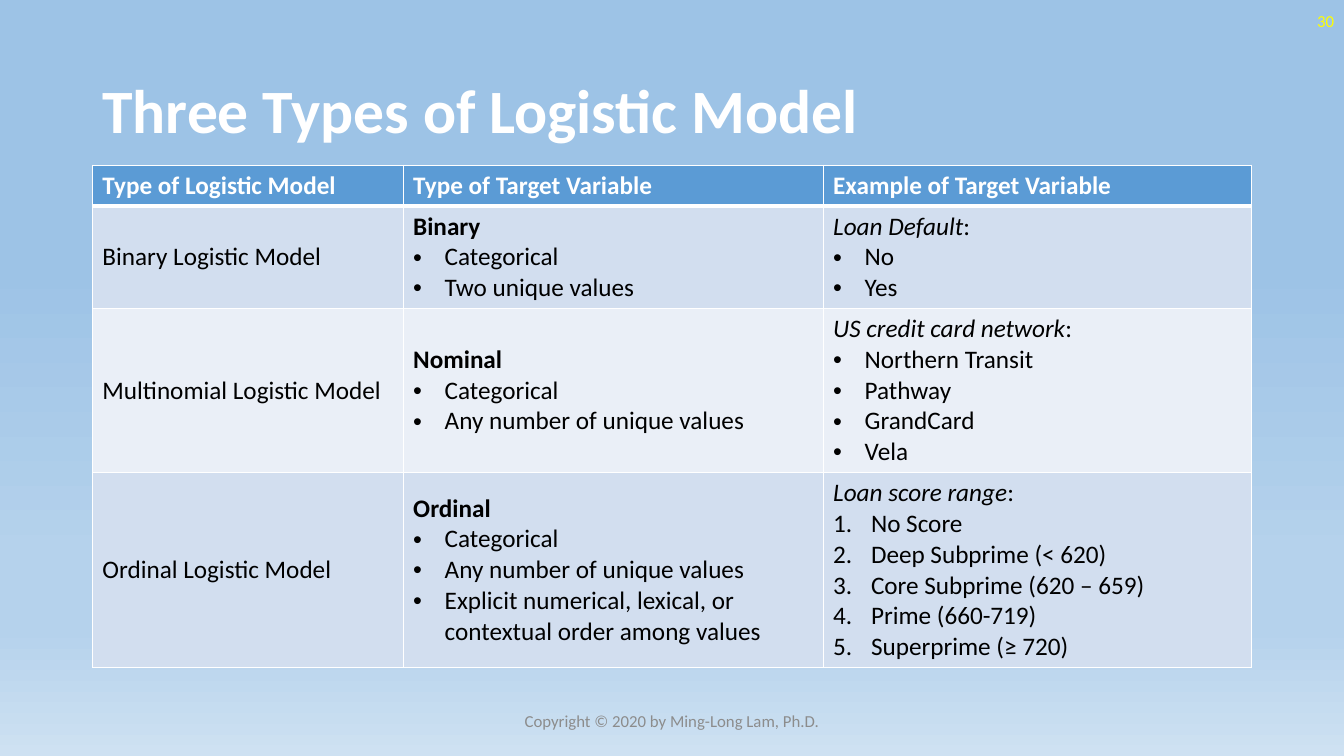
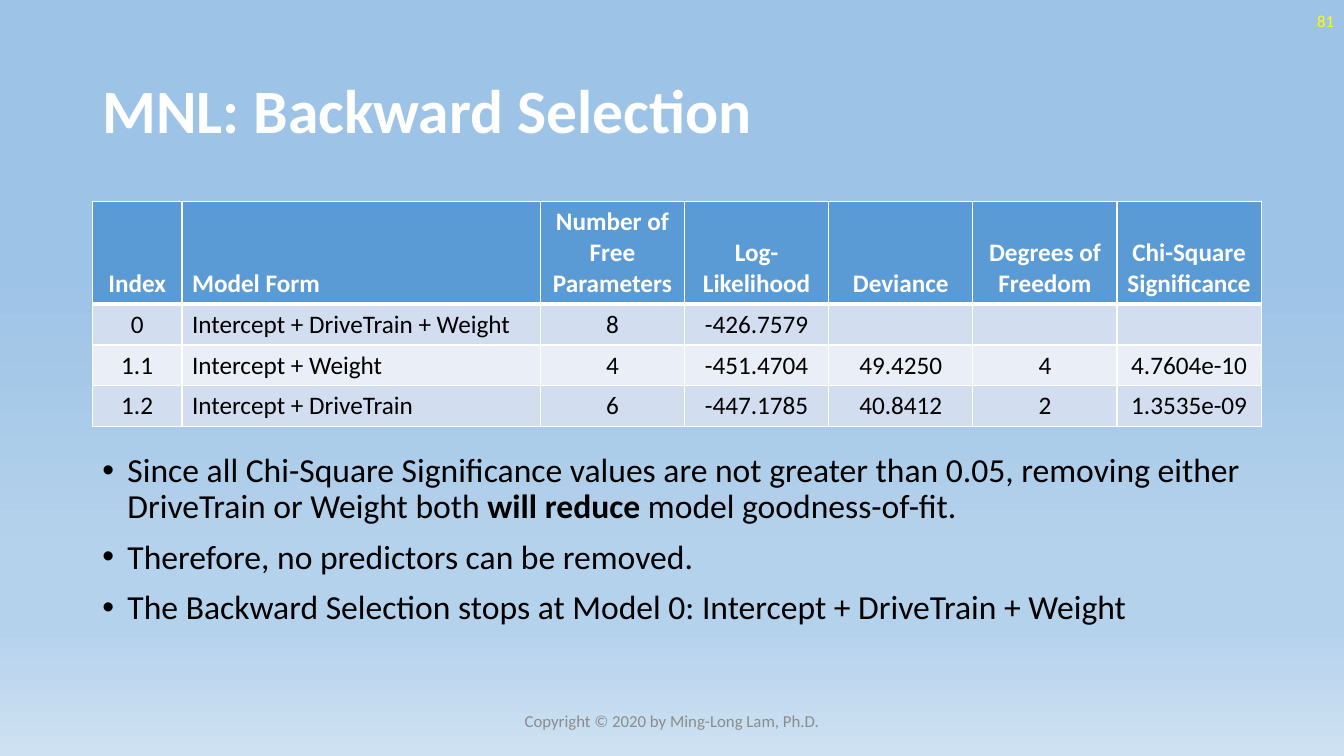
from lxml.etree import SubElement
from pptx import Presentation
from pptx.dml.color import RGBColor
from pptx.enum.text import MSO_ANCHOR as Anchor, PP_ALIGN as Align
from pptx.oxml.ns import qn
from pptx.util import Pt

COLOURS = {
    "white": "FFFFFF", "black": "000000", "grey": "8C8C8C", "yellow": "FFFF00",
    "header": "5B9BD5", "band": "D2DEEF", "pale": "EAEFF7",
    "sky": "9DC3E6", "mist": "B5D2EC", "haze": "CEE1F2",
}
BACKGROUND = [(35, "sky"), (74, "mist"), (83, "mist"), (100, "haze")]
FONT = "Calibri"
LEFT = 66
WIDTH = 828
LINE_HEIGHT = 22
CELL_PADDING = 7.2
COPYRIGHT = "Copyright © 2020 by Ming-Long Lam, Ph.D."

STYLES = {
    "title": {"size": Pt(44), "bold": True, "color": "white"},
    "number": {"size": Pt(12), "color": "yellow"},
    "footer": {"size": Pt(12), "color": "grey"},
    "body": {"size": Pt(24), "color": "black"},
    "header": {"size": Pt(18), "bold": True, "color": "white"},
    "cell": {"size": Pt(18), "bold": False, "color": "black"},
}
MARKERS = {
    "bullet": ("a:buChar", {"char": "•"}, 22.5),
    "number": ("a:buAutoNum", {"type": "arabicPeriod"}, 27),
    "body": ("a:buChar", {"char": "•"}, 18),
}


def listing(lead, items, marker="bullet"):
    return [(None, lead)] + [(marker, [(item, {})]) for item in items]


def kind(name, *items):
    return listing([(name, {"bold": True})], items)


def example(name, items, marker="bullet"):
    return listing([(name, {"italic": True}), (":", {})], items, marker)


SLIDES = [
    {
        "title": "Three Types of Logistic Model",
        "number": "30",
        "top": 118,
        "widths": [222, 300, 306],
        "lines": [1, 3, 5, 6],
        "centred": [],
        "rows": [
            ["Type of Logistic Model", "Type of Target Variable", "Example of Target Variable"],
            ["Binary Logistic Model",
             kind("Binary", "Categorical", "Two unique values"),
             example("Loan Default", ["No", "Yes"])],
            ["Multinomial Logistic Model",
             kind("Nominal", "Categorical", "Any number of unique values"),
             example("US credit card network",
                     ["Northern Transit", "Pathway", "GrandCard", "Vela"])],
            ["Ordinal Logistic Model",
             kind("Ordinal", "Categorical", "Any number of unique values",
                  "Explicit numerical, lexical, or contextual order among values"),
             example("Loan score range",
                     ["No Score", "Deep Subprime (< 620)", "Core Subprime (620 – 659)",
                      "Prime (660-719)", "Superprime (≥ 720)"], "number")],
        ],
        "body": [],
    },
    {
        "title": "MNL: Backward Selection",
        "number": "81",
        "top": 144,
        "widths": [64, 256] + [103] * 5,
        "lines": [3, 1, 1, 1],
        "centred": [0, 2, 3, 4, 5, 6],
        "rows": [
            ["Index", "Model Form", "Number of Free Parameters", "Log-Likelihood",
             "Deviance", "Degrees of Freedom", "Chi-Square Significance"],
            ["0", "Intercept + DriveTrain + Weight", "8", "-426.7579", "", "", ""],
            ["1.1", "Intercept + Weight", "4", "-451.4704", "49.4250", "4", "4.7604e-10"],
            ["1.2", "Intercept + DriveTrain", "6", "-447.1785", "40.8412", "2", "1.3535e-09"],
        ],
        "body": [
            ("body", [
                ("Since all Chi-Square Significance values are not greater than 0.05, "
                 "removing either DriveTrain or Weight both ", {}),
                ("will reduce", {"bold": True}),
                (" model goodness-of-fit.", {})]),
            ("body", [("Therefore, no predictors can be removed.", {})]),
            ("body", [("The Backward Selection stops at Model 0: "
                       "Intercept + DriveTrain + Weight", {})]),
        ],
    },
]


def rgb(name):
    return RGBColor.from_string(COLOURS[name])


def add_marker(para, marker):
    tag, attributes, indent = MARKERS[marker]
    props = para._p.get_or_add_pPr()
    props.set("marL", str(Pt(indent)))
    props.set("indent", str(-Pt(indent)))
    SubElement(props, qn("a:buFont"), typeface="Arial")
    SubElement(props, qn(tag), attributes)


def write(frame, content, style, align=Align.LEFT, spacing=None, gap=0):
    if isinstance(content, str):
        content = [(None, [(content, {})])] if content else []
    for index, (marker, spans) in enumerate(content):
        para = frame.add_paragraph() if index else frame.paragraphs[0]
        if marker:
            add_marker(para, marker)
        para.alignment = align
        if spacing:
            para.line_spacing = spacing
        if index and gap:
            para.space_before = Pt(gap)
        for text, extra in spans:
            span = para.add_run()
            span.text = text
            for key, value in {"name": FONT, **STYLES[style], **extra}.items():
                if key == "color":
                    span.font.color.rgb = rgb(value)
                else:
                    setattr(span.font, key, value)


def add_text(page, content, style, place, anchor=Anchor.MIDDLE, **options):
    frame = page.shapes.add_textbox(*map(Pt, place)).text_frame
    frame.word_wrap = True
    frame.vertical_anchor = anchor
    write(frame, content, style, **options)


def add_borders(cell, row):
    props = cell._tc.get_or_add_tcPr()
    widths = {"L": 1, "R": 1, "T": 3 if row == 1 else 1, "B": 1 if row else 3}
    for side, width in widths.items():
        line = SubElement(props, qn(f"a:ln{side}"), w=str(Pt(width)))
        fill = SubElement(line, qn("a:solidFill"))
        SubElement(fill, qn("a:srgbClr"), val=COLOURS["white"])


def add_grid(page, data):
    heights = [CELL_PADDING + LINE_HEIGHT * count for count in data["lines"]]
    widths = data["widths"]
    place = (LEFT, data["top"], sum(widths), sum(heights))
    table = page.shapes.add_table(len(heights), len(widths), *map(Pt, place)).table
    table.horz_banding = False
    for column, width in zip(table.columns, widths):
        column.width = Pt(width)
    for row, (values, height) in enumerate(zip(data["rows"], heights)):
        table.rows[row].height = Pt(height)
        shade = ("band" if row % 2 else "pale") if row else "header"
        for col, value in enumerate(values):
            cell = table.cell(row, col)
            add_borders(cell, row)
            cell.fill.solid()
            cell.fill.fore_color.rgb = rgb(shade)
            cell.vertical_anchor = Anchor.MIDDLE if row else Anchor.BOTTOM
            align = Align.CENTER if col in data["centred"] else Align.LEFT
            write(cell.text_frame, value, "cell" if row else "header", align)


def set_background(master):
    fill = master.background.fill
    fill.gradient()
    fill.gradient_angle = 270
    stops = master.element.find(".//" + qn("p:bg")).find(".//" + qn("a:gsLst"))
    for stop in list(stops):
        stops.remove(stop)
    for percent, name in BACKGROUND:
        stop = SubElement(stops, qn("a:gs"), pos=str(percent * 1000))
        SubElement(stop, qn("a:srgbClr"), val=COLOURS[name])


def build_page(deck, data):
    page = deck.slides.add_slide(deck.slide_layouts[6])
    add_text(page, data["title"], "title", (LEFT, 29, WIDTH, 104), spacing=0.9)
    add_grid(page, data)
    if data["body"]:
        add_text(page, data["body"], "body", (LEFT, 320.4, WIDTH, 166),
                 Anchor.TOP, spacing=0.9, gap=10)
    add_text(page, data["number"], "number", (744, 0, 216, 29), align=Align.RIGHT)
    add_text(page, COPYRIGHT, "footer", (318, 500.5, 324, 29), align=Align.CENTER)


def main():
    deck = Presentation()
    deck.slide_width, deck.slide_height = Pt(960), Pt(540)
    set_background(deck.slide_master)
    for data in SLIDES:
        build_page(deck, data)
    deck.save("out.pptx")


if __name__ == "__main__":
    main()
